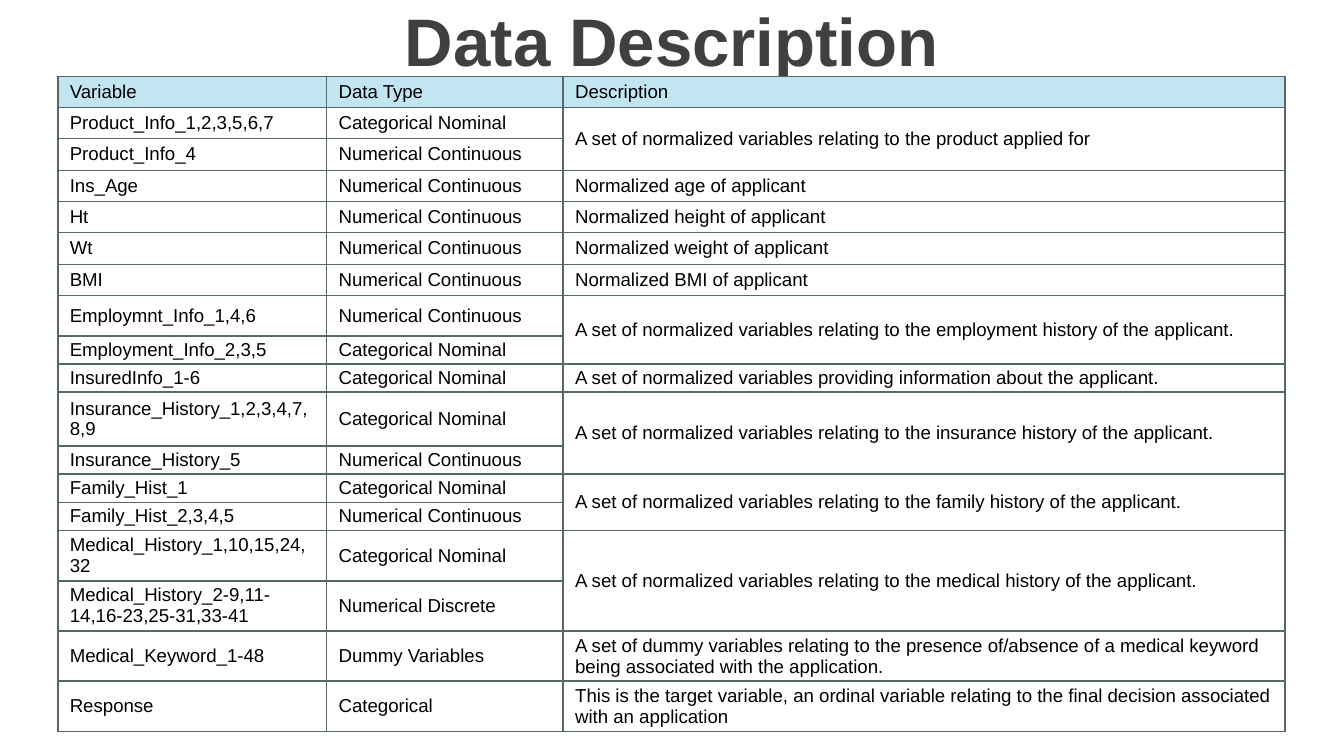
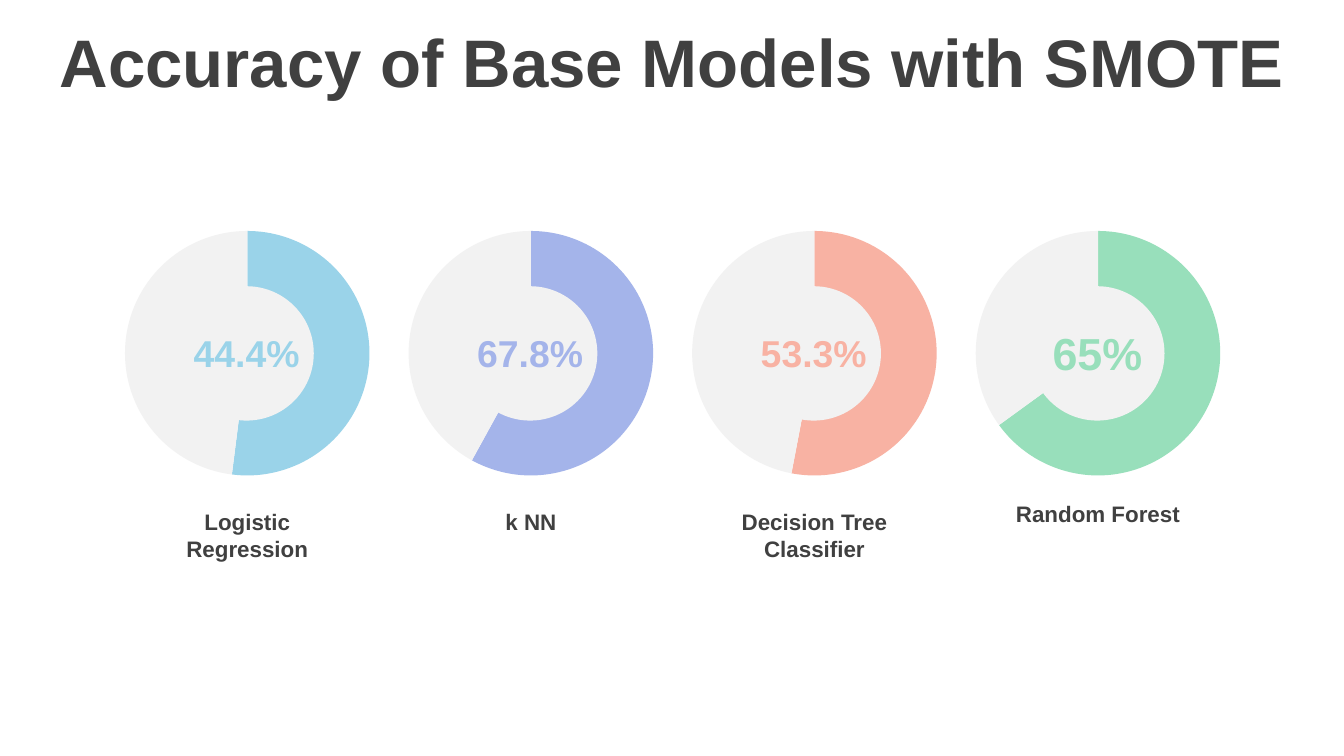
from itertools import product

from lxml import etree
from pptx import Presentation
from pptx import util as u
from pptx.chart.data import CategoryChartData
from pptx.dml.color import RGBColor
from pptx.enum import chart as charts, shapes, text
from pptx.oxml import parse_xml
from pptx.oxml.ns import nsdecls, qn

FONT = "Arial"
DARK = RGBColor(0x40, 0x40, 0x40)
BLACK = RGBColor(0x00, 0x00, 0x00)
WHITE = RGBColor(0xFF, 0xFF, 0xFF)
PALE = RGBColor(0xF2, 0xF2, 0xF2)
HEADER = RGBColor(0xC2, 0xE5, 0xF2)
RULE = RGBColor(0x57, 0x68, 0x68)
SKY = RGBColor(0x9A, 0xD3, 0xE9)
LAVENDER = RGBColor(0xA4, 0xB4, 0xEA)
CORAL = RGBColor(0xF8, 0xB2, 0xA3)
MINT = RGBColor(0x98, 0xDF, 0xBB)

# The slide is a grid of 100 columns by 56.25 rows of square units.
UNIT = u.Inches(0.1)
COLUMNS, ROWS = 100, 56.25
RING_LEFT, RING_PITCH, RING_WIDTH = 9.3, 21.1, 18.2

CATEGORICAL, NUMERICAL = "Categorical Nominal", "Numerical Continuous"
HISTORY = "A set of normalized variables relating to the {} history of the applicant."

# Variable, data type, description (None continues the cell above), row height
VARIABLES = [
    ("Variable", "Data Type", "Description", 2.3),
    ("Product_Info_1,2,3,5,6,7", CATEGORICAL,
     "A set of normalized variables relating to the product applied for", 2.3),
    ("Product_Info_4", NUMERICAL, None, 2.4),
    ("Ins_Age", NUMERICAL, "Normalized age of applicant", 2.3),
    ("Ht", NUMERICAL, "Normalized height of applicant", 2.3),
    ("Wt", NUMERICAL, "Normalized weight of applicant", 2.4),
    ("BMI", NUMERICAL, "Normalized BMI of applicant", 2.3),
    ("Employmnt_Info_1,4,6", NUMERICAL, HISTORY.format("employment"), 3),
    ("Employment_Info_2,3,5", CATEGORICAL, None, 2.1),
    ("InsuredInfo_1-6", CATEGORICAL,
     "A set of normalized variables providing information about the applicant.", 2.1),
    ("Insurance_History_1,2,3,4,7,8,9", CATEGORICAL, HISTORY.format("insurance"), 4),
    ("Insurance_History_5", NUMERICAL, None, 2.1),
    ("Family_Hist_1", CATEGORICAL, HISTORY.format("family"), 2.1),
    ("Family_Hist_2,3,4,5", NUMERICAL, None, 2.1),
    ("Medical_History_1,10,15,24,32", CATEGORICAL, HISTORY.format("medical"), 3.7),
    ("Medical_History_2-9,11-14,16-23,25-31,33-41", "Numerical Discrete", None, 3.7),
    ("Medical_Keyword_1-48", "Dummy Variables",
     "A set of dummy variables relating to the presence of/absence of a medical keyword\n"
     "being associated with the application.", 3.7),
    ("Response", "Categorical",
     "This is the target variable, an ordinal variable relating to the final decision "
     "associated with an application", 3.7),
]

# Model, its name's top and height, accuracy, its size, filled share, colour
MODELS = [
    ("Logistic Regression", 37.3, 5, "44.4%", 20, 52, SKY),
    ("k NN", 37.3, 3, "67.8%", 20, 58, LAVENDER),
    ("Decision Tree Classifier", 37.3, 5, "53.3%", 20, 53, CORAL),
    ("Random Forest", 36.7, 3, "65%", 24, 65, MINT),
]


def grid(*counts):
    return [u.Emu(round(count * UNIT)) for count in counts]


def style_font(font, size, colour, bold=False):
    font.name, font.size, font.bold = FONT, u.Pt(size), bold
    font.color.rgb = colour


def style_text(frame, size, colour, bold=False):
    for paragraph in frame.paragraphs:
        for run in paragraph.runs:
            style_font(run.font, size, colour, bold)


def add_label(slide, words, box, size, colour, anchor=text.MSO_ANCHOR.TOP, grow=True):
    frame = slide.shapes.add_textbox(*grid(*box)).text_frame
    frame.text = words
    frame.word_wrap = True
    frame.vertical_anchor = anchor
    if grow:
        frame.auto_size = text.MSO_AUTO_SIZE.SHAPE_TO_FIT_TEXT
    frame.paragraphs[0].alignment = text.PP_ALIGN.CENTER
    style_text(frame, size, colour, bold=True)
    return frame


def add_slide(deck):
    slide = deck.slides.add_slide(deck.slide_layouts[6])
    slide.background.fill.solid()
    slide.background.fill.fore_color.rgb = WHITE
    return slide


def add_title(slide, words, top):
    frame = add_label(slide, words, (0, top, COLUMNS, 6.3), 36, DARK,
                      text.MSO_ANCHOR.MIDDLE, grow=False)
    frame.paragraphs[0].space_before = u.Pt(7.2)


def rule_cell(cell):
    """Draw a thin line on all four sides of a cell."""
    properties = cell._tc.get_or_add_tcPr()
    for place, side in enumerate(("lnL", "lnR", "lnT", "lnB")):
        properties.insert(place, parse_xml(
            f'<a:{side} {nsdecls("a")} w="{u.Pt(1)}"><a:solidFill>'
            f'<a:srgbClr val="{RULE}"/></a:solidFill></a:{side}>'))


def fill_cell(cell, words, is_header):
    cell.text_frame.text = words or ""
    cell.vertical_anchor = text.MSO_ANCHOR.MIDDLE
    cell.margin_left = cell.margin_right = u.Inches(0.09)
    cell.margin_top = cell.margin_bottom = u.Inches(0.02)
    if is_header:
        cell.fill.solid()
        cell.fill.fore_color.rgb = HEADER
    else:
        cell.fill.background()
    style_text(cell.text_frame, 10, BLACK)
    rule_cell(cell)


def add_variable_table(slide):
    widths = (20, 17.6, 53.7)
    heights = [row[-1] for row in VARIABLES]
    box = grid(4.3, 5.7, sum(widths), sum(heights))
    table = slide.shapes.add_table(len(heights), len(widths), *box).table
    table.first_row = table.horz_banding = False
    for column, width in zip(table.columns, grid(*widths)):
        column.width = width
    for row, height in zip(table.rows, grid(*heights)):
        row.height = height
    for r, c in product(range(len(heights)), range(len(widths))):
        fill_cell(table.cell(r, c), VARIABLES[r][c], is_header=r == 0)
    for r, (_, _, description, _) in enumerate(VARIABLES):
        if description is None:
            table.cell(r - 1, 2).merge(table.cell(r, 2))


def fit_ring(chart):
    """Widen the hole and let the ring fill its frame."""
    plot_area = chart._chartSpace.chart.plotArea
    for hole in plot_area.iter(qn("c:holeSize")):
        hole.set("val", "75")
    for layout in plot_area.findall(qn("c:layout")):
        plot_area.remove(layout)
    layout = etree.Element(qn("c:layout"))
    manual = etree.SubElement(layout, qn("c:manualLayout"))
    settings = {"layoutTarget": "inner", "xMode": "edge", "yMode": "edge",
                "x": 0, "y": 0.02, "w": 1, "h": 0.97}
    for tag, value in settings.items():
        etree.SubElement(manual, qn(f"c:{tag}")).set("val", str(value))
    plot_area.insert(0, layout)


def add_ring(slide, left, share, colour):
    data = CategoryChartData()
    data.categories = ["1", "2"]
    data.add_series("Series 1", (share, 100 - share))
    chart = slide.shapes.add_chart(charts.XL_CHART_TYPE.DOUGHNUT,
                                   *grid(left, 16.8, RING_WIDTH, 18.8), data).chart
    chart.has_legend = chart.has_title = False
    style_font(chart.font, 18, BLACK)
    plot = chart.plots[0]
    plot.vary_by_categories = True
    for place, shade in enumerate((colour, PALE)):
        part = plot.series[0].points[place].format
        part.fill.solid()
        part.fill.fore_color.rgb = shade
        part.line.fill.background()
    fit_ring(chart)


def add_ring_centre(slide, left):
    disc = slide.shapes.add_shape(shapes.MSO_SHAPE.OVAL, *grid(left, 21.3, 10, 10))
    disc.shadow.inherit = False
    disc.fill.solid()
    disc.fill.fore_color.rgb = PALE
    disc.line.fill.background()


def add_model(slide, place, model):
    name, name_top, name_height, accuracy, size, share, colour = model
    left = RING_LEFT + place * RING_PITCH
    height = 5 if size == 24 else 4.4
    add_ring(slide, left, share, colour)
    add_ring_centre(slide, left + 4.05)
    add_label(slide, accuracy, (left + 3.95, 26.2 - height / 2, 10.2, height),
              size, colour, text.MSO_ANCHOR.MIDDLE)
    add_label(slide, name, (left + 0.7, name_top, 16.8, name_height), 12, DARK)


def main():
    deck = Presentation()
    deck.slide_width, deck.slide_height = grid(COLUMNS, ROWS)

    description = add_slide(deck)
    add_title(description, "Data Description", -0.2)
    add_variable_table(description)

    accuracy = add_slide(deck)
    add_title(accuracy, "Accuracy of Base Models with SMOTE", 1.4)
    for place, model in enumerate(MODELS):
        add_model(accuracy, place, model)

    deck.save("out.pptx")


if __name__ == "__main__":
    main()
